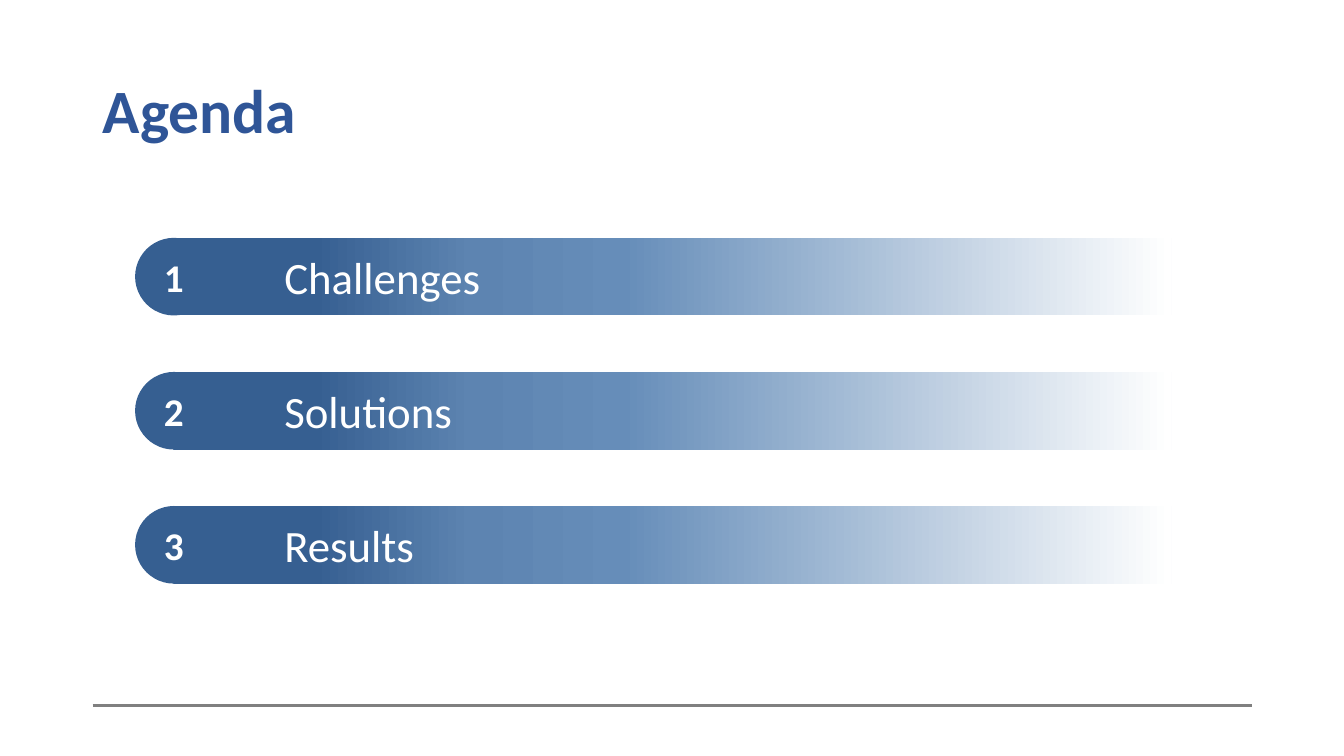
"""Build an agenda slide with three numbered gradient bars."""
from dataclasses import dataclass

from lxml.etree import SubElement
from pptx import Presentation
from pptx.dml.color import RGBColor
from pptx.enum.shapes import MSO_CONNECTOR, MSO_SHAPE
from pptx.enum.text import MSO_ANCHOR, MSO_AUTO_SIZE, PP_ALIGN
from pptx.oxml.ns import qn
from pptx.shapes.autoshape import Shape
from pptx.slide import Slide
from pptx.util import Inches, Pt

COLORS = {
    "title": "2F5597",
    "badge": "365F91",
    "steel": "5D84B1",
    "sky": "668DB9",
    "white": "FFFFFF",
    "rule": "808080",
}
BAR_STOPS = ((14, "badge"), (30, "steel"), (45, "sky"), (100, "white"))
FONT = "Calibri"
TITLE_FORMAT = {"name": FONT, "size": Pt(44), "bold": True}
NUMBER_FORMAT = {"name": FONT, "size": Pt(28), "bold": True}
LABEL_FORMAT = {"name": FONT, "size": Pt(32), "bold": False}
FRAME_FORMAT = {
    "vertical_anchor": MSO_ANCHOR.MIDDLE,
    "auto_size": MSO_AUTO_SIZE.NONE,
    "word_wrap": True,
}
FIRST_TOP, PITCH = 2.36, 1.33
BAR_LEFT, BAR_WIDTH, BAR_HEIGHT = 1.72, 9.9, 0.77
BADGE_LEFT = 1.34
LABEL_INDENT = 1.1


@dataclass(frozen=True)
class AgendaItem:
    number: int
    label: str

    @property
    def top(self) -> float:
        return FIRST_TOP + (self.number - 1) * PITCH


AGENDA = [
    AgendaItem(number, label)
    for number, label in enumerate(("Challenges", "Solutions", "Results"), start=1)
]


def set_attributes(target: object, values: dict) -> None:
    for name, value in values.items():
        setattr(target, name, value)


def write_text(
    shape: Shape, text: str, font_format: dict, color: str, alignment: PP_ALIGN
) -> None:
    set_attributes(shape.text_frame, FRAME_FORMAT)
    paragraph = shape.text_frame.paragraphs[0]
    paragraph.alignment = alignment
    run = paragraph.add_run()
    run.text = text
    set_attributes(run.font, font_format)
    run.font.color.rgb = RGBColor.from_string(COLORS[color])


def add_plain_shape(
    slide: Slide, kind: MSO_SHAPE, left: float, top: float, width: float
) -> Shape:
    shape = slide.shapes.add_shape(
        kind, Inches(left), Inches(top), Inches(width), Inches(BAR_HEIGHT)
    )
    shape.shadow.inherit = False
    shape.line.fill.background()
    return shape


def fill_with_gradient(shape: Shape) -> None:
    shape.fill.gradient()
    shape.fill.gradient_angle = 0
    stop_list = shape._element.spPr.find(qn("a:gradFill")).find(qn("a:gsLst"))
    for stop in list(stop_list):
        stop_list.remove(stop)
    for percent, color in BAR_STOPS:
        stop = SubElement(stop_list, qn("a:gs"), pos=str(percent * 1000))
        SubElement(stop, qn("a:srgbClr"), val=COLORS[color])


def add_title(slide: Slide, text: str) -> None:
    title = slide.shapes.title
    box = {"left": 0.92, "top": 0.4, "width": 11.5, "height": 1.45}
    set_attributes(title, {name: Inches(value) for name, value in box.items()})
    write_text(title, text, TITLE_FORMAT, "title", PP_ALIGN.LEFT)
    title.text_frame.paragraphs[0].line_spacing = 0.9


def add_agenda_item(slide: Slide, item: AgendaItem) -> None:
    bar = add_plain_shape(slide, MSO_SHAPE.RECTANGLE, BAR_LEFT, item.top, BAR_WIDTH)
    fill_with_gradient(bar)
    bar.text_frame.margin_left = Inches(LABEL_INDENT)
    write_text(bar, item.label, LABEL_FORMAT, "white", PP_ALIGN.LEFT)

    badge = add_plain_shape(slide, MSO_SHAPE.OVAL, BADGE_LEFT, item.top, BAR_HEIGHT)
    badge.fill.solid()
    badge.fill.fore_color.rgb = RGBColor.from_string(COLORS["badge"])
    write_text(badge, str(item.number), NUMBER_FORMAT, "white", PP_ALIGN.CENTER)


def add_footer_rule(slide: Slide) -> None:
    rule = slide.shapes.add_connector(
        MSO_CONNECTOR.STRAIGHT, Inches(0.92), Inches(7), Inches(12.42), Inches(7)
    )
    rule.line.width = Pt(2)
    rule.line.color.rgb = RGBColor.from_string(COLORS["rule"])
    SubElement(rule._element.spPr, qn("a:effectLst"))


def main() -> None:
    presentation = Presentation()
    presentation.slide_width = Inches(13.33)
    presentation.slide_height = Inches(7.5)
    slide = presentation.slides.add_slide(presentation.slide_layouts[5])
    add_title(slide, "Agenda")
    for item in AGENDA:
        add_agenda_item(slide, item)
    add_footer_rule(slide)
    presentation.save("out.pptx")


if __name__ == "__main__":
    main()
